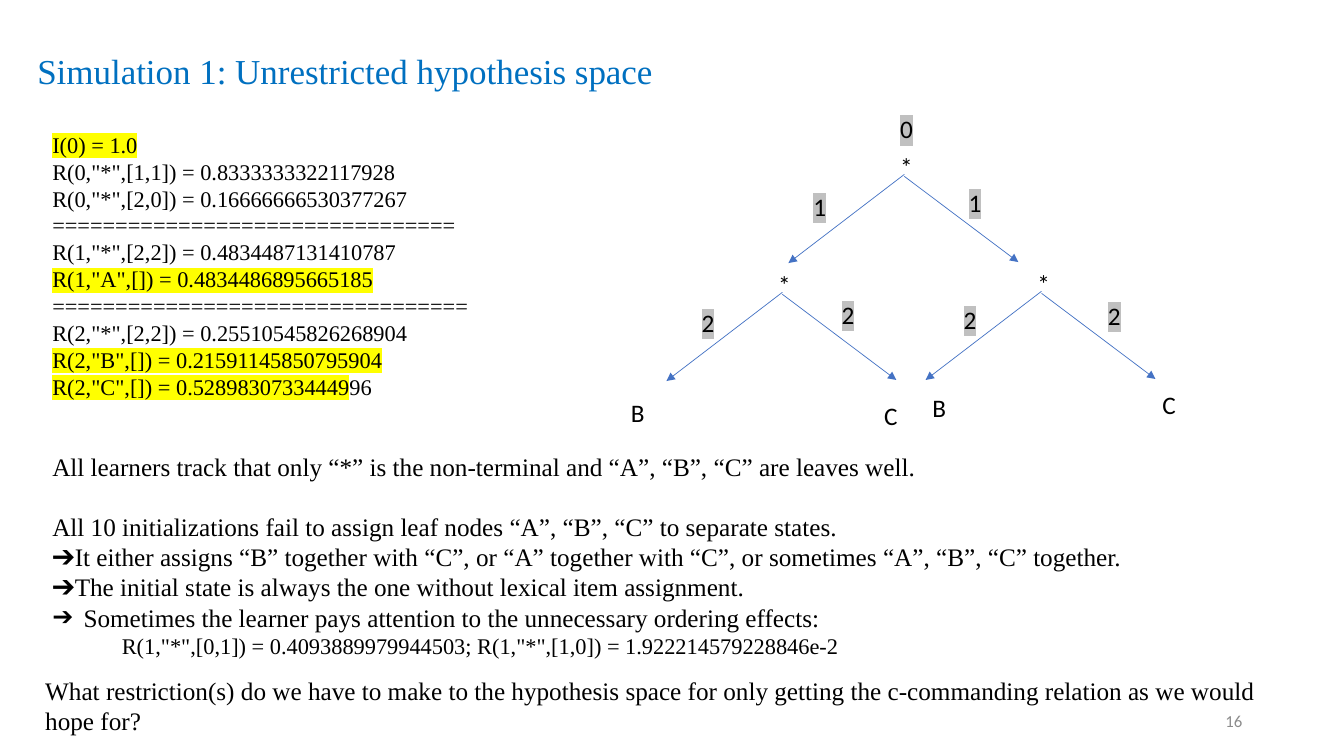
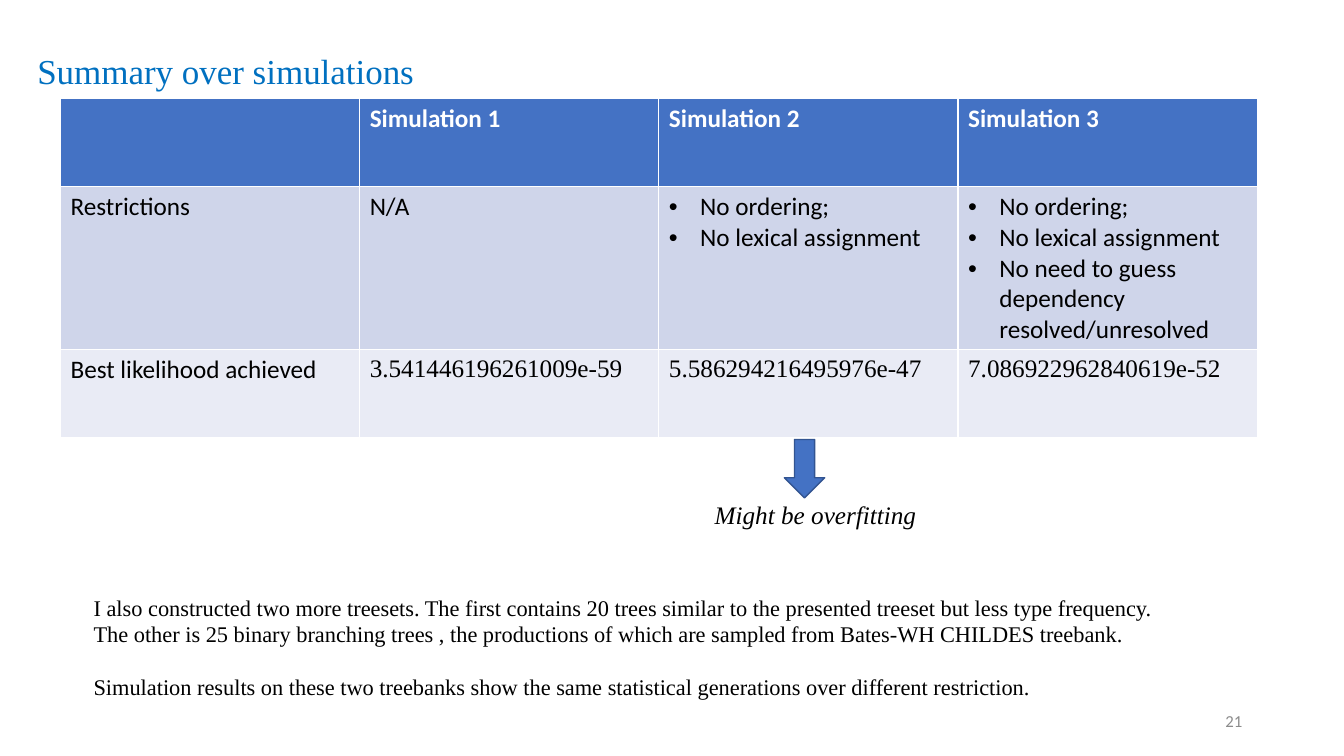
from dataclasses import dataclass, replace

from lxml import etree
from pptx import Presentation, util as u
from pptx.dml.color import RGBColor
from pptx.enum import shapes, text
from pptx.oxml import ns


@dataclass(frozen=True)
class Theme:
    serif: str = "Times New Roman"
    sans: str = "Calibri"
    ink: str = "000000"
    title: str = "0070C0"
    accent: str = "4472C4"
    accent_edge: str = "325491"
    row_dark: str = "CFD5EA"
    row_light: str = "E9EBF5"
    white: str = "FFFFFF"
    muted: str = "8C8C8C"
    marker: str = "FFFF00"
    state: str = "C0C0C0"
    title_pt: float = 25
    body_pt: float = 18
    detail_pt: float = 16
    number_pt: float = 12


T = Theme()
TITLE_ONLY = 5


@dataclass(frozen=True)
class Style:
    size: float = T.body_pt
    font: str = T.serif
    color: str = T.ink
    bold: bool = False
    italic: bool = False
    highlight: str = ""


BODY = Style()
DETAIL = Style(size=T.detail_pt)
MARKED = replace(DETAIL, highlight=T.marker)
LABEL = Style(font=T.sans)
STATE = replace(LABEL, highlight=T.state)
HEADER = replace(LABEL, color=T.white, bold=True)
TITLE = Style(size=T.title_pt, color=T.title)
NUMBER = Style(size=T.number_pt, font=T.sans, color=T.muted)


@dataclass(frozen=True)
class Para:
    runs: tuple  # (words, Style) pairs
    bullet: str = ""
    indent: float = 0
    before: float = 0
    align: object = text.PP_ALIGN.LEFT


def para(words, style=BODY, **options):
    return Para(((words, style),), **options)


# ---- shared parts ----
def rgb(value):
    return RGBColor.from_string(value)


def sub(parent, tag, **attributes):
    return etree.SubElement(parent, ns.qn(tag), attributes)


def inches(box):
    return [u.Inches(length) for length in box]


def add_run(paragraph, words, style):
    run = paragraph.add_run()
    run.text = words
    font = run.font
    font.size, font.name = u.Pt(style.size), style.font
    font.bold, font.italic = style.bold, style.italic
    font.color.rgb = rgb(style.color)
    if style.highlight:
        properties = font._element
        highlight = sub(properties, "a:highlight")
        sub(highlight, "a:srgbClr", val=style.highlight)
        properties.find(ns.qn("a:latin")).addprevious(highlight)


def write(frame, paras):
    frame.word_wrap = True
    for index, item in enumerate(paras):
        paragraph = frame.add_paragraph() if index else frame.paragraphs[0]
        paragraph.alignment = item.align
        if item.before:
            paragraph.space_before = u.Pt(item.before)
        properties = paragraph._p.get_or_add_pPr()
        if item.indent:
            margin = u.Inches(item.indent)
            properties.set("marL", str(margin))
            properties.set("indent", str(-margin if item.bullet else 0))
        if item.bullet:
            sub(properties, "a:buFont", typeface="Arial")
            sub(properties, "a:buChar", char=item.bullet)
        for words, style in item.runs:
            add_run(paragraph, words, style)


def add_text(slide, box, paras):
    frame = slide.shapes.add_textbox(*inches(box)).text_frame
    write(frame, paras)
    return frame


def new_slide(deck, title, title_width, number):
    slide = deck.slides.add_slide(deck.slide_layouts[TITLE_ONLY])
    heading = slide.shapes.title
    heading.left, heading.top, heading.width, heading.height = inches((0.27, 0, title_width, 1.45))
    frame = heading.text_frame
    frame.auto_size = text.MSO_AUTO_SIZE.NONE
    frame.vertical_anchor = text.MSO_ANCHOR.MIDDLE
    write(frame, [para(title, TITLE)])
    frame.paragraphs[0].line_spacing = 0.9
    footer = add_text(slide, (9.42, 6.95, 3, 0.4),
                      [para(number, NUMBER, align=text.PP_ALIGN.RIGHT)])
    footer.vertical_anchor = text.MSO_ANCHOR.MIDDLE
    return slide


# ---- derivation tree ----
def add_branch(slide, start, end):
    branch = slide.shapes.add_connector(shapes.MSO_CONNECTOR.STRAIGHT, *inches(start + end))
    branch.line.color.rgb = rgb(T.accent)
    branch.line.width = u.Pt(0.5)
    sub(branch.line._get_or_add_ln(), "a:tailEnd", type="triangle")
    sub(branch._element.spPr, "a:effectLst")


def add_fork(slide, apex, labels):
    """Two branches under a star; labels are (words, style, dx, dy) from the apex."""
    x, y = apex
    add_branch(slide, (x, y), (x - 1.15, y + 0.88))
    add_branch(slide, (x, y + 0.02), (x + 1.13, y + 0.87))
    for words, style, dx, dy in [("*", LABEL, -0.14, -0.28), *labels]:
        add_text(slide, (x + dx, y + dy, 1, 0.4), [para(words, style)])


def add_tree(slide, box):
    left, top = box[:2]
    forks = [
        ((2.81, 0.65), [("0", STATE, -0.14, -0.65),
                        ("1", STATE, -1, 0.12), ("1", STATE, 0.54, 0.08)]),
        ((1.6, 1.82), [("2", STATE, -0.9, 0.1), ("2", STATE, 0.49, 0.02),
                       ("B", LABEL, -1.6, 0.99), ("C", LABEL, 0.91, 1.02)]),
        ((4.17, 1.81), [("2", STATE, -0.87, 0.08), ("2", STATE, 0.56, 0.04),
                        ("B", LABEL, -1.18, 0.95), ("C", LABEL, 1.1, 0.92)]),
    ]
    for (x, y), labels in forks:
        add_fork(slide, (left + x, top + y), labels)


# ---- slide: simulation 1 ----
def simulation_slide(deck):
    slide = new_slide(deck, "Simulation 1: Unrestricted hypothesis space", 11.5, "16")

    # Learned probabilities
    add_text(slide, (0.42, 1.25, 5.12, 3.09), [
        para("I(0) = 1.0", MARKED),
        para('R(0,"*",[1,1]) = 0.8333333322117928', DETAIL),
        para('R(0,"*",[2,0]) = 0.16666666530377267', DETAIL),
        para("=" * 32, DETAIL),
        para('R(1,"*",[2,2]) = 0.4834487131410787', DETAIL),
        para('R(1,"A",[]) = 0.4834486895665185', MARKED),
        para("=" * 33, DETAIL),
        para('R(2,"*",[2,2]) = 0.25510545826268904', DETAIL),
        para('R(2,"B",[]) = 0.21591145850795904', MARKED),
        Para((('R(2,"C",[]) = 0.52898307334449', MARKED), ("96", DETAIL))),
    ])
    add_tree(slide, (6.16, 1.08, 6.35, 3.24))

    # Findings
    add_text(slide, (0.42, 4.43, 11.79, 2.22), [
        para("All learners track that only “*” is the non-terminal and “A”, “B”, “C” are leaves well."),
        para("All 10 initializations fail to assign leaf nodes “A”, “B”, “C” to separate states.",
             before=21),
        para("➔It either assigns “B” together with “C”, or “A” together with “C”, "
             "or sometimes “A”, “B”, “C” together."),
        para("➔The initial state is always the one without lexical item assignment."),
        para("Sometimes the learner pays attention to the unnecessary ordering effects:",
             bullet="➔", indent=0.31),
        para('R(1,"*",[0,1]) = 0.4093889979944503; R(1,"*",[1,0]) = 1.922214579228846e-2',
             DETAIL, indent=0.69),
    ])

    # Open question
    add_text(slide, (0.35, 6.65, 12.71, 0.71), [
        para("What restriction(s) do we have to make to the hypothesis space for only getting "
             "the c-commanding relation as we would hope for?")])


# ---- slide: summary ----
def add_summary_table(slide, box):
    def bullets(*items):
        return [para(item, LABEL, bullet="•", indent=0.31) for item in items]

    shared = ("No ordering;", "No lexical assignment")
    likelihoods = ("3.541446196261009e-59", "5.586294216495976e-47", "7.086922962840619e-52")
    rows = [
        (T.accent, 0.87, [[], *([para(f"Simulation {n}", HEADER)] for n in (1, 2, 3))]),
        (T.row_dark, 1.62, [
            [para("Restrictions", LABEL)], [para("N/A", LABEL)], bullets(*shared),
            bullets(*shared, "No need to guess dependency resolved/unresolved")]),
        (T.row_light, 0.87, [[para("Best likelihood achieved", LABEL)],
                             *([para(value)] for value in likelihoods)]),
    ]
    table = slide.shapes.add_table(len(rows), 4, *inches(box)).table
    for column in table.columns:
        column.width = u.Inches(box[2] / 4)
    for r, (fill, height, cells) in enumerate(rows):
        table.rows[r].height = u.Inches(height)
        for c, paras in enumerate(cells):
            cell = table.cell(r, c)
            cell.fill.solid()
            cell.fill.fore_color.rgb = rgb(fill)
            write(cell.text_frame, paras)


def add_overfitting_note(slide, box):
    left, top, width, _ = box
    arrow = slide.shapes.add_shape(shapes.MSO_SHAPE.DOWN_ARROW,
                                   *inches((left + 0.79, top, 0.4, 0.58)))
    arrow.shadow.inherit = False
    arrow.fill.solid()
    arrow.fill.fore_color.rgb = rgb(T.accent)
    arrow.line.color.rgb = rgb(T.accent_edge)
    arrow.line.width = u.Pt(1)
    add_text(slide, (left, top + 0.54, width, 0.4),
             [para("Might be overfitting", replace(BODY, italic=True))])


def summary_slide(deck):
    slide = new_slide(deck, "Summary over simulations", 12.97, "21")
    add_summary_table(slide, (0.6, 0.98, 11.87, 3.36))
    add_overfitting_note(slide, (6.99, 4.36, 2.37, 0.94))

    # Further treesets
    add_text(slide, (0.83, 5.84, 10.97, 1.18), [
        para("I also constructed two more treesets. The first contains 20 trees similar to the "
             "presented treeset but less type frequency. The other is 25 binary branching trees , "
             "the productions of which are sampled from Bates-WH CHILDES treebank.", DETAIL),
        para("Simulation results on these two treebanks show the same statistical generations "
             "over different restriction.", DETAIL, before=18.5),
    ])


def main():
    deck = Presentation()
    deck.slide_width, deck.slide_height = inches((13.33, 7.5))
    simulation_slide(deck)
    summary_slide(deck)
    deck.save("out.pptx")


if __name__ == "__main__":
    main()
